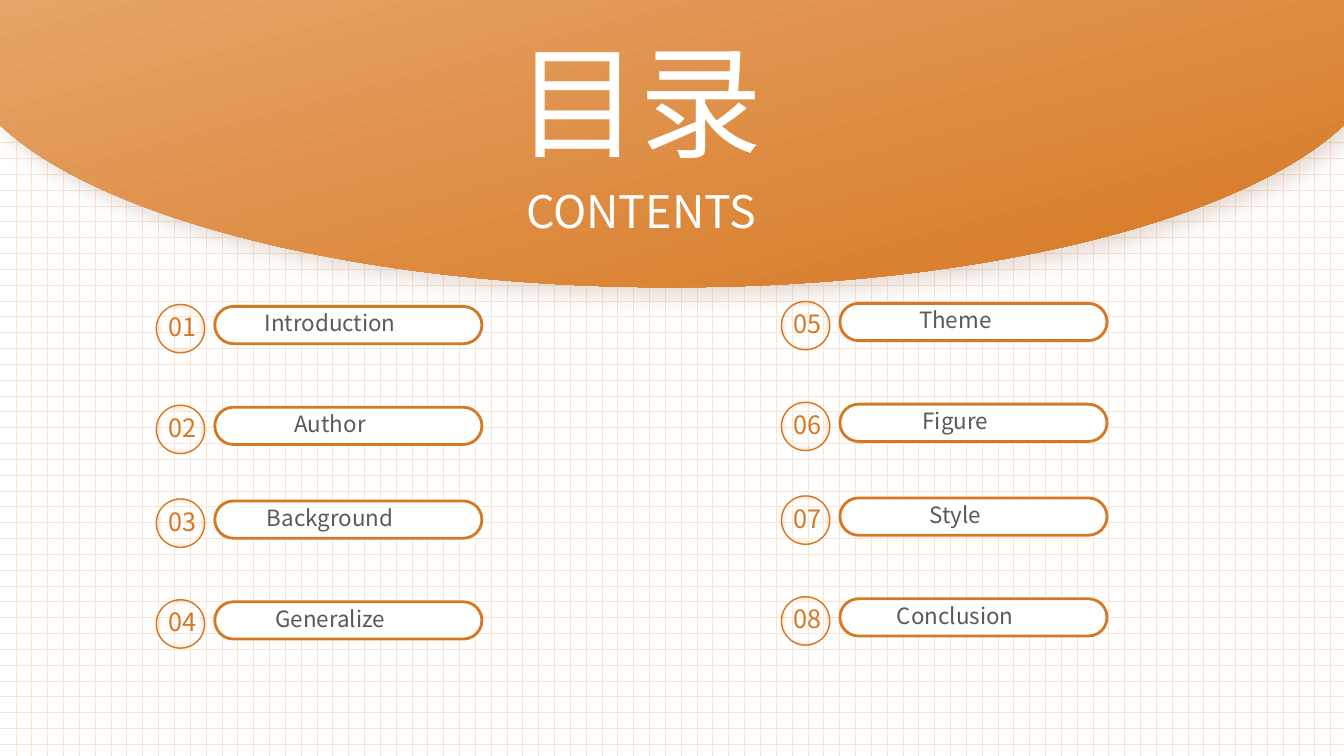
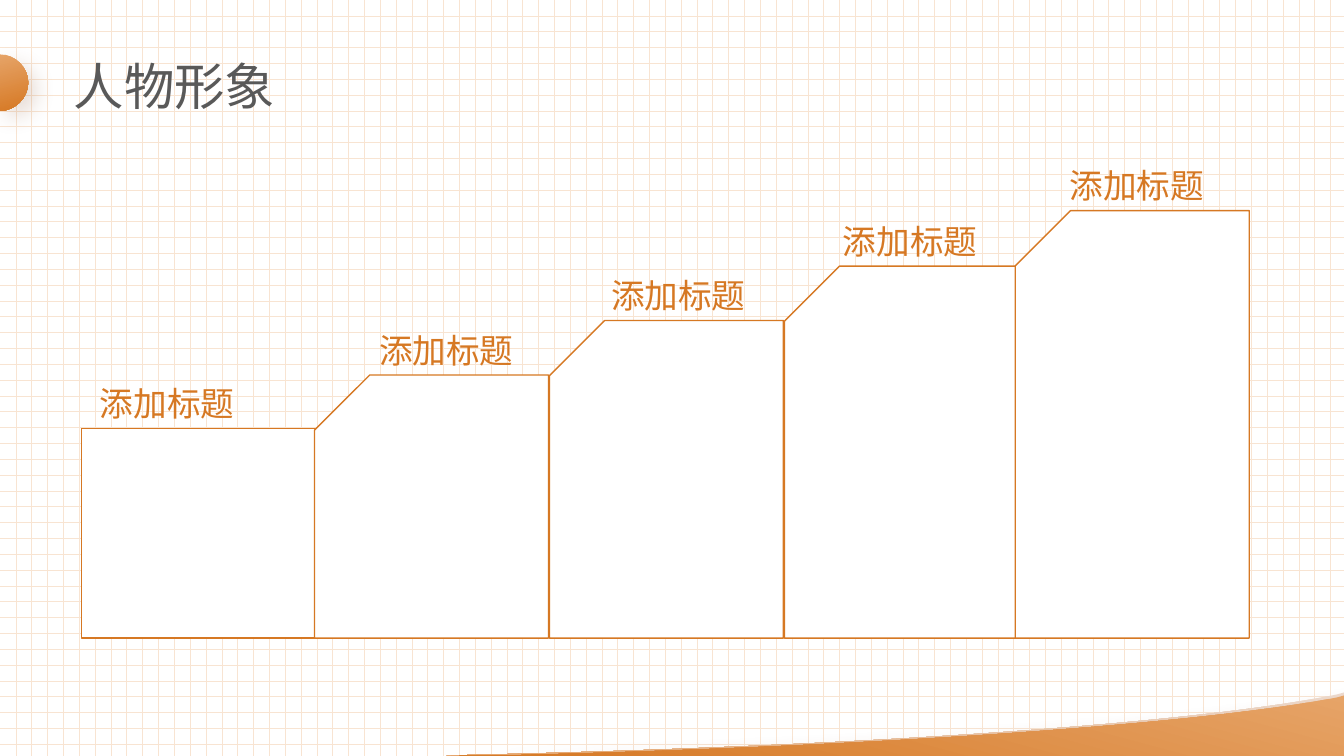
from lxml.etree import SubElement as Sub
from pptx import Presentation
from pptx.dml.color import RGBColor as RGB
from pptx.enum.dml import MSO_PATTERN as PAT
from pptx.enum.shapes import MSO_SHAPE as SHAPE
from pptx.enum.text import MSO_ANCHOR as ANCHOR, MSO_AUTO_SIZE as AUTO, PP_ALIGN as ALIGN
from pptx.oxml.ns import qn
from pptx.util import Inches as In, Pt

# Shared look
W, H = 13.33, 7.5
FONT = "Noto Sans CJK SC"
COL = {"main": "D67823", "light": "E6A468", "pale": "EEDBCF", "shade": "8A522F",
       "grid": "F8E4D2", "ink": "595959", "white": "FFFFFF"}
BLEND = [(0, "light", 100), (100, "main", 100)]
FADE = [(0, "pale", 100), (100, "light", 100)]
HALO = [(68, "white", 0), (100, "main", 30)]

# Contents slide
HEAD, SUB = "目录", "CONTENTS"
ITEMS = [["Introduction", "Author", "Background", "Generalize"],
         ["Theme", "Figure", "Style", "Conclusion"]]
COLS = [(1.55, 3.02), (7.75, 2.99)]
ROWS = [0, 1, 1.93, 2.93]

# Steps slide: text, left and top of the step, left of the text
TOPIC = "人物形象"
STEPS = [("添加标题", 0.81, 4.25, 0.92),
         ("添加标题", 3.12, 3.72, 3.69),
         ("添加标题", 5.45, 3.18, 5.99),
         ("添加标题", 7.78, 2.64, 8.29),
         ("添加标题", 10.07, 2.09, 10.54)]
BASE, WIDE, TAB = 6.33, 2.32, 0.48

# Outlines: a pair is a corner, six numbers are a curve
DOME = [(0, 0), (W, 0), (W, 1.24), (13.32, 1.25),
        (12.33, 2.18, 9.72, 2.85, W / 2, 2.85), (3.61, 2.85, 1, 2.18, 0.01, 1.25), (0, 1.24)]
KNOB = [(0, 0.54), (0.15, 0.54, 0.28, 0.67, 0.28, 0.82), (0.28, 0.97, 0.15, 1.1, 0, 1.1)]
BACK = [(W, 6.87), (13.26, 6.89), (11.83, 7.18, 8.64, 7.4, 4.65, 7.49), (4.43, H), (W, H)]
WAVE = [(W, 6.9), (13.26, 6.92), (11.85, 7.19, 8.71, 7.41, 4.78, H), (4.56, H), (W, H)]


def rgb(name):
    return RGB.from_string(COL[name])


def tint(node, name, alpha):
    clr = Sub(node, qn("a:srgbClr"), val=COL[name])
    if alpha < 100:
        Sub(clr, qn("a:alpha"), val=str(alpha * 1000))


def blend(shape, stops, angle=None):
    """Gradient fill: linear at an angle, or from the centre outwards."""
    shape.fill.gradient()
    grad = shape.element.spPr.find(qn("a:gradFill"))
    for kid in list(grad):
        grad.remove(kid)
    group = Sub(grad, qn("a:gsLst"))
    for pos, name, alpha in stops:
        tint(Sub(group, qn("a:gs"), pos=str(pos * 1000)), name, alpha)
    if angle is None:
        way = Sub(grad, qn("a:path"), path="shape")
        Sub(way, qn("a:fillToRect"), **{side: "50000" for side in "ltrb"})
    else:
        Sub(grad, qn("a:lin"), ang=str(angle * 60000), scaled="0")


def cast(shape):
    """Soft brown shadow."""
    fx = shape.element.spPr.find(qn("a:effectLst"))
    drop = Sub(fx, qn("a:outerShdw"), blurRad=str(Pt(15)), dist=str(Pt(8)),
               dir=str(45 * 60000), algn="tl", rotWithShape="0")
    tint(drop, "shade", 20)


def curve(slide, outline, stops=BLEND, angle=75, soft=True):
    """Closed outline with true Bezier segments."""
    ends = [(In(part[-2]), In(part[-1])) for part in outline]
    pen = slide.shapes.build_freeform(*ends[0], scale=1.0)
    pen.add_line_segments(ends[1:], close=True)
    shape = pen.convert_to_shape()
    lines = list(shape.element.iter(qn("a:lnTo")))
    for line, part in zip(lines, outline[1:]):
        if len(part) == 6:
            bend = line.makeelement(qn("a:cubicBezTo"))
            for x, y in zip(part[::2], part[1::2]):
                Sub(bend, qn("a:pt"), x=str(In(x) - shape.left), y=str(In(y) - shape.top))
            line.getparent().replace(line, bend)
    blend(shape, stops, angle)
    shape.line.fill.background()
    shape.shadow.inherit = False
    if soft:
        cast(shape)
    return shape


def box(slide, kind, at, line, adj=None):
    shape = slide.shapes.add_shape(kind, *map(In, at))
    shape.shadow.inherit = False
    shape.fill.solid()
    shape.fill.fore_color.rgb = rgb("white")
    shape.line.color.rgb = rgb("main")
    shape.line.width = Pt(line)
    if adj is not None:
        shape.adjustments[0] = adj
    return shape


def write(shape, at, text, size, color, align=ALIGN.CENTER):
    shape.left, shape.top, shape.width, shape.height = map(In, at)
    frame = shape.text_frame
    frame.word_wrap = True
    frame.auto_size = AUTO.NONE
    frame.vertical_anchor = ANCHOR.TOP
    para = frame.paragraphs[0]
    para.alignment = align
    para.space_before = Pt(0)
    run = para.add_run()
    run.text = text
    run.font.size = Pt(size)
    run.font.color.rgb = rgb(color)
    run.font.name = FONT
    Sub(run.font._element, qn("a:ea"), typeface=FONT)
    return frame


def label(slide, at, *rest):
    return write(slide.shapes.add_textbox(0, 0, 0, 0), at, *rest)


def contents(deck):
    slide = deck.slides.add_slide(deck.slide_layouts[0])
    dome = curve(slide, DOME)
    slide.shapes.element.insert(2, dome.element)  # behind the title
    write(slide.shapes.title, (4.04, 0.2, 4.61, 1.58), HEAD, 88, "white")
    write(slide.placeholders[1], (3.67, 1.77, 5.38, 0.64), SUB, 32, "white")
    for c, ((x, top), names) in enumerate(zip(COLS, ITEMS)):
        for r, (step, name) in enumerate(zip(ROWS, names)):
            y = top + step
            ring = box(slide, SHAPE.OVAL, (x, y, 0.48, 0.48), 1)
            blend(ring, HALO)
            box(slide, SHAPE.ROUNDED_RECTANGLE, (x + 0.58, y + 0.02, 2.65, 0.37), 2, 0.5)
            label(slide, (x + 0.66, y, 2.13, 0.32), name, 16, "ink")
            num = f"{c * len(ROWS) + r + 1:02}"
            label(slide, (x - 0.05, y + 0.02, 0.62, 0.35), num, 18, "main")


def steps(deck):
    slide = deck.slides.add_slide(deck.slide_layouts[5])
    for i, (name, x, y, left) in enumerate(STEPS):
        stair = box(slide, SHAPE.SNIP_1_RECTANGLE, (x, y, WIDE, BASE - y), 1, 0.236 if i else 0)
        stair.element.spPr.xfrm.set("flipH", "1")
        frame = label(slide, (left, y - TAB, 1.98, TAB), name, 24, "main", ALIGN.LEFT)
        frame.margin_left = frame.margin_right = In(0.07)
        frame.margin_top = frame.margin_bottom = In(0.03)
    # Corner waves, lightest at the right, and title mark
    curve(slide, BACK, FADE, 135, False)
    curve(slide, WAVE, BLEND, 105)
    curve(slide, KNOB)
    title = slide.shapes.title
    write(title, (0.63, 0.5, 5.82, 1.31), TOPIC, 36, "ink", ALIGN.LEFT)
    slide.shapes.element.append(title.element)


def main():
    deck = Presentation()
    deck.slide_width, deck.slide_height = In(W), In(H)
    paper = deck.slide_master.background.fill
    paper.patterned()
    paper.pattern = PAT.DOTTED_GRID
    paper.fore_color.rgb = rgb("grid")
    paper.back_color.rgb = rgb("white")
    contents(deck)
    steps(deck)
    deck.save("out.pptx")


if __name__ == "__main__":
    main()
